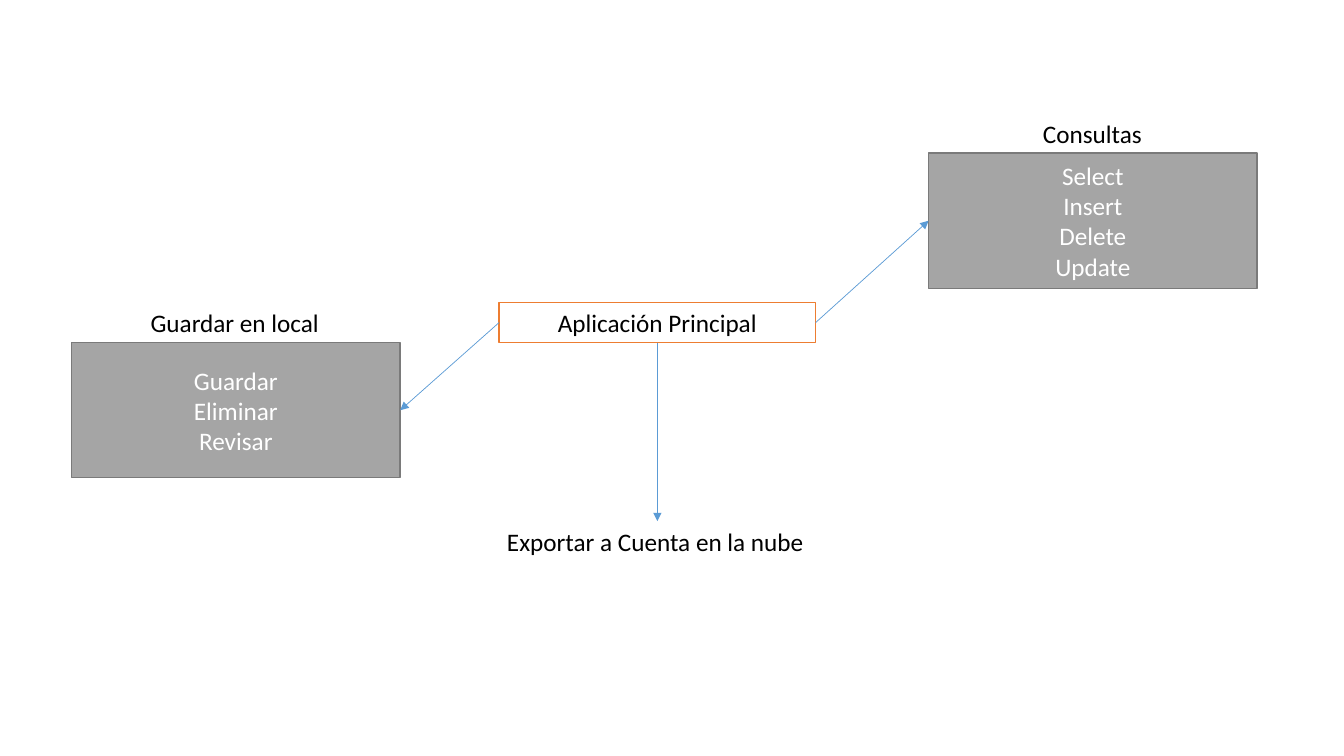
from pptx import Presentation, util as u
from pptx.dml.color import RGBColor
from pptx.enum import shapes, text
from pptx.oxml.ns import qn
from lxml import etree

WHITE = RGBColor(0xFF, 0xFF, 0xFF)
BLACK = RGBColor(0, 0, 0)
ORANGE = RGBColor(0xED, 0x7D, 0x31)
GRAY = RGBColor(0xA5, 0xA5, 0xA5)
EDGE = RGBColor(0x7A, 0x7A, 0x7A)
BLUE = RGBColor(0x5B, 0x9B, 0xD5)

WIDE, HIGH = 13.33, 7.5
ROW = 0.4             # height of one line of text with its margins
BOX = (3.26, 1.34)    # size of a gray box

MAIN = ("Aplicación Principal", 4.95, 3.0, 3.14)
EXPORT = ("Exportar a Cuenta en la nube", 5.17, 3.18)
# title, title width, actions, box left, box top, side of main, side of box
GROUPS = [
    ("Consultas", 1.19, ["Select", "Insert", "Delete", "Update"],
     9.21, 1.52, 3, 1),
    ("Guardar en local", 1.89, ["Guardar", "Eliminar", "Revisar"],
     0.71, 3.4, 1, 3),
]


def write(shape, lines, color=BLACK, align=text.PP_ALIGN.CENTER,
          anchor=text.MSO_ANCHOR.TOP, wrap=True):
    frame = shape.text_frame
    frame.word_wrap = wrap
    frame.vertical_anchor = anchor
    frame.text = "\n".join(lines)
    for para in frame.paragraphs:
        para.alignment = align
        font = para.font
        font.size, font.name = u.Pt(18), "Calibri"
        font.color.rgb = color


def add_box(slide, left, top, wide, high, fill, edge):
    box = slide.shapes.add_shape(
        shapes.MSO_SHAPE.RECTANGLE, *map(u.Inches, (left, top, wide, high)))
    box.shadow.inherit = False
    box.fill.solid()
    box.fill.fore_color.rgb = fill
    box.line.color.rgb = edge
    box.line.width = u.Pt(1)
    return box


def add_label(slide, words, mid, top, wide):
    """Put a one-line label centred on the x position mid."""
    label = slide.shapes.add_textbox(
        *map(u.Inches, (mid - wide / 2, top, wide, ROW)))
    write(label, [words], align=text.PP_ALIGN.LEFT, wrap=False)
    return label


def add_arrow(slide, start, out, end, into):
    """Join side out of start to side into of end."""
    arrow = slide.shapes.add_connector(
        shapes.MSO_CONNECTOR.STRAIGHT, 0, 0, 0, 0)
    arrow.begin_connect(start, out)
    arrow.end_connect(end, into)
    arrow.line.color.rgb = BLUE
    arrow.line.width = u.Pt(0.5)
    etree.SubElement(arrow.line._get_or_add_ln(), qn("a:tailEnd"),
                     type="triangle")
    etree.SubElement(arrow._element.spPr, qn("a:effectLst"))


def main():
    deck = Presentation()
    deck.slide_width, deck.slide_height = u.Inches(WIDE), u.Inches(HIGH)
    slide = deck.slides.add_slide(deck.slide_layouts[6])

    title, left, top, wide = MAIN
    app = add_box(slide, left, top, wide, ROW, WHITE, ORANGE)
    write(app, [title])

    for name, span, acts, x, y, out, into in GROUPS:
        box = add_box(slide, x, y, *BOX, GRAY, EDGE)
        write(box, acts, color=WHITE, anchor=text.MSO_ANCHOR.MIDDLE)
        add_label(slide, name, x + BOX[0] / 2, y - ROW, span)
        add_arrow(slide, app, out, box, into)

    words, low, span = EXPORT
    cloud = add_label(slide, words, left + wide / 2, low, span)
    add_arrow(slide, app, 2, cloud, 0)
    deck.save("out.pptx")


if __name__ == "__main__":
    main()
